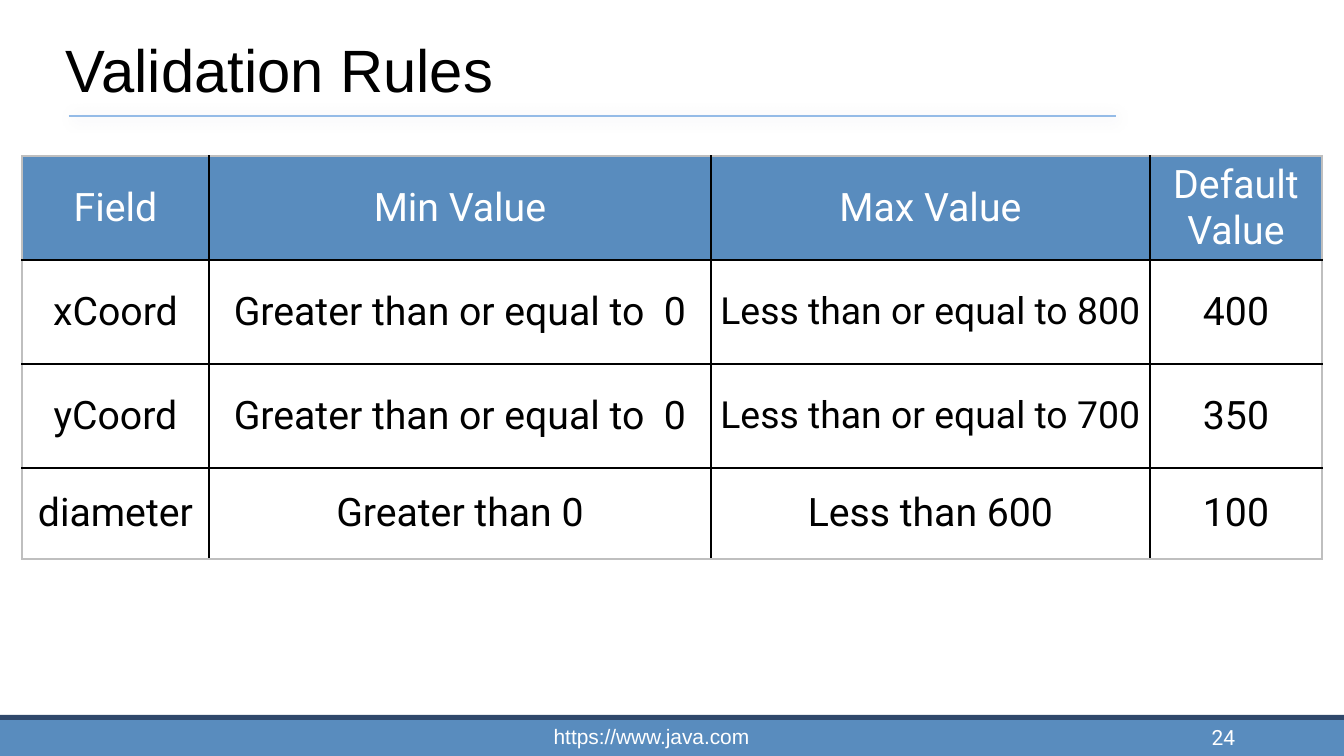
import pptx
import pptx.dml.color
import pptx.enum.shapes
import pptx.enum.text
import pptx.oxml
import pptx.oxml.ns
import pptx.util

RGBColor = pptx.dml.color.RGBColor
Align = pptx.enum.text.PP_ALIGN
Anchor = pptx.enum.text.MSO_ANCHOR

EMU_PER_PX = 914400 / 134.4
BLUE = RGBColor(0x59, 0x8C, 0xBE)
NAVY = RGBColor(0x2F, 0x48, 0x6B)
LIGHT_BLUE = RGBColor(0x94, 0xBB, 0xE7)
SHADOW_BLUE = RGBColor(0x00, 0x3D, 0x62)
BLACK = RGBColor(0, 0, 0)
WHITE = RGBColor(0xFF, 0xFF, 0xFF)
GREY = RGBColor(0xBF, 0xBF, 0xBF)

RULES = [
    ["Field", "Min Value", "Max Value", "Default Value"],
    ["xCoord", "Greater than or equal to  0", "Less than or equal to 800", "400"],
    ["yCoord", "Greater than or equal to  0", "Less than or equal to 700", "350"],
    ["diameter", "Greater than 0", "Less than 600", "100"],
]
COLUMN_WIDTHS = [187, 502, 439, 172]
ROW_HEIGHTS = [104, 104, 104, 91]


def px(length):
    return pptx.util.Emu(round(length * EMU_PER_PX))


def write_text(text_frame, text, *, size, font="Arial", color=BLACK, align=Align.LEFT):
    paragraph = text_frame.paragraphs[0]
    paragraph.alignment = align
    run = paragraph.add_run()
    run.text = text
    run.font.size = pptx.util.Pt(size)
    run.font.name = font
    run.font.color.rgb = color


def add_text_box(slide, box, text, *, margins=(8, 8), **text_format):
    text_frame = slide.shapes.add_textbox(*map(px, box)).text_frame
    text_frame.word_wrap = True
    text_frame.vertical_anchor = Anchor.BOTTOM
    text_frame.margin_left = text_frame.margin_right = px(margins[0])
    text_frame.margin_top = text_frame.margin_bottom = px(margins[1])
    write_text(text_frame, text, **text_format)


def add_bar(slide, box, color):
    shape = slide.shapes.add_shape(
        pptx.enum.shapes.MSO_SHAPE.RECTANGLE, *map(px, box))
    shape.shadow.inherit = False
    shape.fill.solid()
    shape.fill.fore_color.rgb = color
    shape.line.fill.background()


def add_header(slide, box):
    left, top, width, height = box
    line_left, line_top = left + 11, top + height + 4
    connector = slide.shapes.add_connector(
        pptx.enum.shapes.MSO_CONNECTOR.STRAIGHT,
        px(line_left), px(line_top), px(line_left + 1047), px(line_top))
    connector.line.color.rgb = LIGHT_BLUE
    connector.line.width = pptx.util.Pt(1)
    connector._element.spPr.append(pptx.oxml.parse_xml(
        f'<a:effectLst {pptx.oxml.ns.nsdecls("a")}>'
        '<a:outerShdw blurRad="101600" dist="12700" dir="2700000">'
        f'<a:srgbClr val="{SHADOW_BLUE}"><a:alpha val="20000"/></a:srgbClr>'
        '</a:outerShdw></a:effectLst>'))
    add_text_box(slide, box, "Validation Rules", size=32)


def add_border(cell, side, color):
    cell._tc.get_or_add_tcPr().append(pptx.oxml.parse_xml(
        f'<a:ln{side} {pptx.oxml.ns.nsdecls("a")} w="12700">'
        f'<a:solidFill><a:srgbClr val="{color}"/></a:solidFill></a:ln{side}>'))


def format_cell(cell, text, row, column):
    last_row, last_column = len(ROW_HEIGHTS) - 1, len(COLUMN_WIDTHS) - 1
    outer_sides = {"L": column == 0, "R": column == last_column,
                   "T": row == 0, "B": row == last_row}
    for side, is_outer in outer_sides.items():
        add_border(cell, side, GREY if is_outer else BLACK)
    is_heading = row == 0
    if is_heading:
        cell.fill.solid()
        cell.fill.fore_color.rgb = BLUE
    else:
        cell.fill.background()
    cell.vertical_anchor = Anchor.MIDDLE
    cell.margin_left = cell.margin_right = px(9)
    cell.margin_top = cell.margin_bottom = px(5)
    write_text(cell.text_frame, text, font="Roboto", align=Align.CENTER,
               size=20 if text.startswith("Less than or") else 21,
               color=WHITE if is_heading else BLACK)


def add_rules_table(slide, left, top):
    table = slide.shapes.add_table(
        len(ROW_HEIGHTS), len(COLUMN_WIDTHS), px(left), px(top),
        px(sum(COLUMN_WIDTHS)), px(sum(ROW_HEIGHTS))).table
    table.first_row = table.horz_banding = False
    for column, width in zip(table.columns, COLUMN_WIDTHS):
        column.width = px(width)
    for row, height in zip(table.rows, ROW_HEIGHTS):
        row.height = px(height)
    for row, texts in enumerate(RULES):
        for column, text in enumerate(texts):
            format_cell(table.cell(row, column), text, row, column)


def add_footer(slide, box):
    left, top, width, height = box
    add_bar(slide, (left, top + 5, width, height - 5), BLUE)
    add_bar(slide, (left, top, width, 5), NAVY)
    add_text_box(slide, (left + 473, top + 4, 357, 35), "https://www.java.com",
                 margins=(11, 5), size=11.2, color=WHITE, align=Align.CENTER)
    add_text_box(slide, (left + 964, top + 1, 279, 42), "24",
                 size=11.2, font="Roboto", color=WHITE, align=Align.RIGHT)


def main():
    presentation = pptx.Presentation()
    presentation.slide_width, presentation.slide_height = px(1344), px(756)
    slide = presentation.slides.add_slide(presentation.slide_layouts[6])
    add_header(slide, (58, 0, 1142, 112))
    add_rules_table(slide, 22, 156)
    add_footer(slide, (0, 715, 1344, 41))
    presentation.save("out.pptx")


if __name__ == "__main__":
    main()
